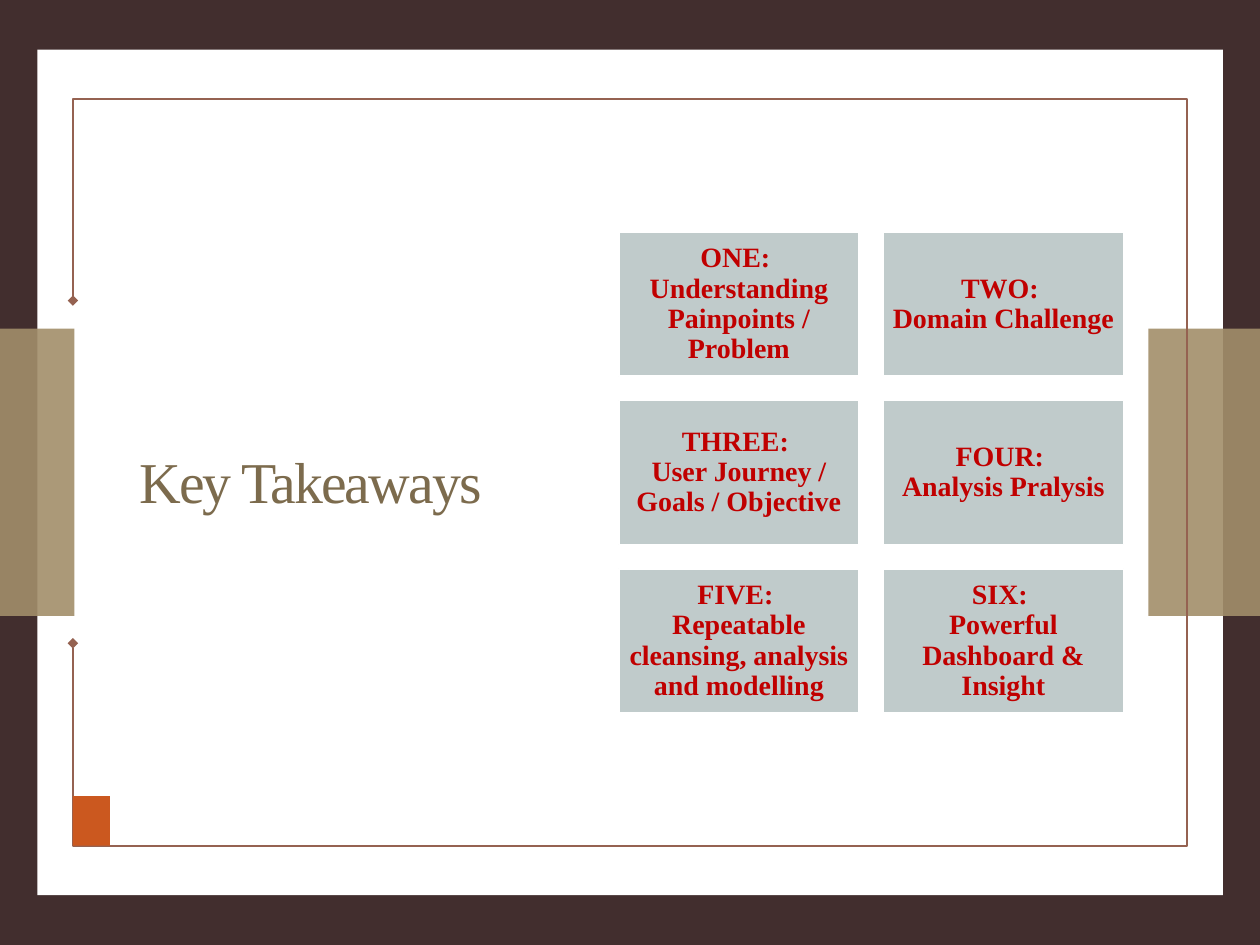
from copy import deepcopy

from lxml import etree
from pptx import Presentation
from pptx.dml.color import RGBColor
from pptx.enum.shapes import MSO_SHAPE
from pptx.enum.text import MSO_ANCHOR, PP_ALIGN
from pptx.oxml.ns import qn
from pptx.util import Pt

RECT = MSO_SHAPE.RECTANGLE
MIDDLE, BOTTOM = MSO_ANCHOR.MIDDLE, MSO_ANCHOR.BOTTOM
CENTER = PP_ALIGN.CENTER

MAROON = RGBColor(0x42, 0x2E, 0x2E)
WHITE = RGBColor(0xFF, 0xFF, 0xFF)
SAND = RGBColor(0xA2, 0x8E, 0x6A)
BROWN = RGBColor(0x95, 0x62, 0x51)
ORANGE = RGBColor(0xCB, 0x58, 0x1F)
OLIVE = RGBColor(0x7C, 0x6B, 0x4D)
PALE_GRAY = RGBColor(0xC0, 0xCB, 0xCB)
RED = RGBColor(0xC0, 0x00, 0x00)


def write_text(frame, text, *, size, color, anchor, bold=False, spacing=0, inset=None):
    """Fill a frame with one centred paragraph; a newline is a line break."""
    frame.word_wrap = True
    frame.vertical_anchor = anchor
    if inset is not None:
        frame.margin_left = frame.margin_right = Pt(inset)
        frame.margin_top = frame.margin_bottom = Pt(inset)
    paragraph = frame.paragraphs[0]
    paragraph.text = text.replace("\n", "\v")
    paragraph.alignment = CENTER
    paragraph.line_spacing = 0.9
    for run in paragraph.runs:
        run.font.name = Style.font
        run.font.size = Pt(size)
        run.font.bold = bold
        run.font.color.rgb = color
        if spacing:
            run.font._element.set("spc", str(round(spacing * 100)))
    # Line breaks take the format of the text around them
    for line_break in paragraph._p.findall(qn("a:br")):
        line_break.append(deepcopy(paragraph.runs[0].font._element))


class Style:
    """The look of the deck and the slide being drawn."""

    font = "Times New Roman"

    def __init__(self, slide):
        self.slide = slide

    def background(self, color):
        fill = self.slide.background.fill
        fill.solid()
        fill.fore_color.rgb = color

    def block(self, left, top, width, height, color, border=None, opacity=None):
        block = self.slide.shapes.add_shape(RECT, Pt(left), Pt(top), Pt(width), Pt(height))
        block.shadow.inherit = False
        block.fill.solid()
        block.fill.fore_color.rgb = color
        if opacity is not None:
            color_node = block._element.spPr.find(qn("a:solidFill"))[0]
            etree.SubElement(color_node, qn("a:alpha"), val=str(opacity * 1000))
        if border is None:
            block.line.fill.background()
        else:
            block.line.color.rgb = border
            block.line.width = Pt(1)
        return block

    def open_frame(self, points, color):
        start, *rest = [(Pt(x), Pt(y)) for x, y in points]
        builder = self.slide.shapes.build_freeform(*start)
        builder.add_line_segments(rest, close=False)
        frame = builder.convert_to_shape()
        frame.shadow.inherit = False
        frame.fill.background()
        frame.line.color.rgb = color
        frame.line.width = Pt(1)
        for end in ("a:headEnd", "a:tailEnd"):
            etree.SubElement(frame.line._ln, qn(end), type="diamond")

    def title(self, left, top, width, height, text):
        box = self.slide.shapes.add_textbox(Pt(left), Pt(top), Pt(width), Pt(height))
        write_text(box.text_frame, text, size=33, color=OLIVE, anchor=BOTTOM, spacing=-1.1)

    def card(self, left, top, width, height, text):
        card = self.block(left, top, width, height, PALE_GRAY, border=WHITE)
        write_text(card.text_frame, text, size=16, color=RED, anchor=MIDDLE, bold=True, inset=4.8)


def main():
    deck = Presentation()
    deck.slide_width, deck.slide_height = Pt(720), Pt(540)
    style = Style(deck.slides.add_slide(deck.slide_layouts[6]))

    # Background, white panel and side bands
    style.background(MAROON)
    style.block(21.3, 28.4, 677.5, 483.1, WHITE)
    for band_left, band_width in ((0, 42.5), (656.2, 63.8)):
        style.block(band_left, 187.8, band_width, 164.2, SAND, opacity=90)

    # Frame, open on the left side, with its corner block
    left, top, right, bottom = 41.7, 56.7, 678.3, 483.3
    style.open_frame(
        [(left, 171.8), (left, top), (right, top), (right, bottom), (left, bottom), (left, 367.6)],
        BROWN,
    )
    style.block(left, 454.9, 21.2, 28.4, ORANGE)

    style.title(59, 193, 236.9, 105.1, "Key Takeaways")

    # Takeaway cards in two columns
    takeaways = [
        ("ONE", "Understanding Painpoints / Problem"),
        ("TWO", "Domain Challenge"),
        ("THREE", "User Journey / Goals / Objective"),
        ("FOUR", "Analysis Pralysis"),
        ("FIVE", "Repeatable cleansing, analysis and modelling"),
        ("SIX", "Powerful Dashboard & Insight"),
    ]
    card_width, card_height, gap = 137.3, 82.4, 13.8
    for index, (number, takeaway) in enumerate(takeaways):
        row, column = divmod(index, 2)
        style.card(
            353.6 + column * (card_width + gap),
            132.6 + row * (card_height + gap),
            card_width,
            card_height,
            f"{number}: \n{takeaway}",
        )

    deck.save("out.pptx")


if __name__ == "__main__":
    main()
